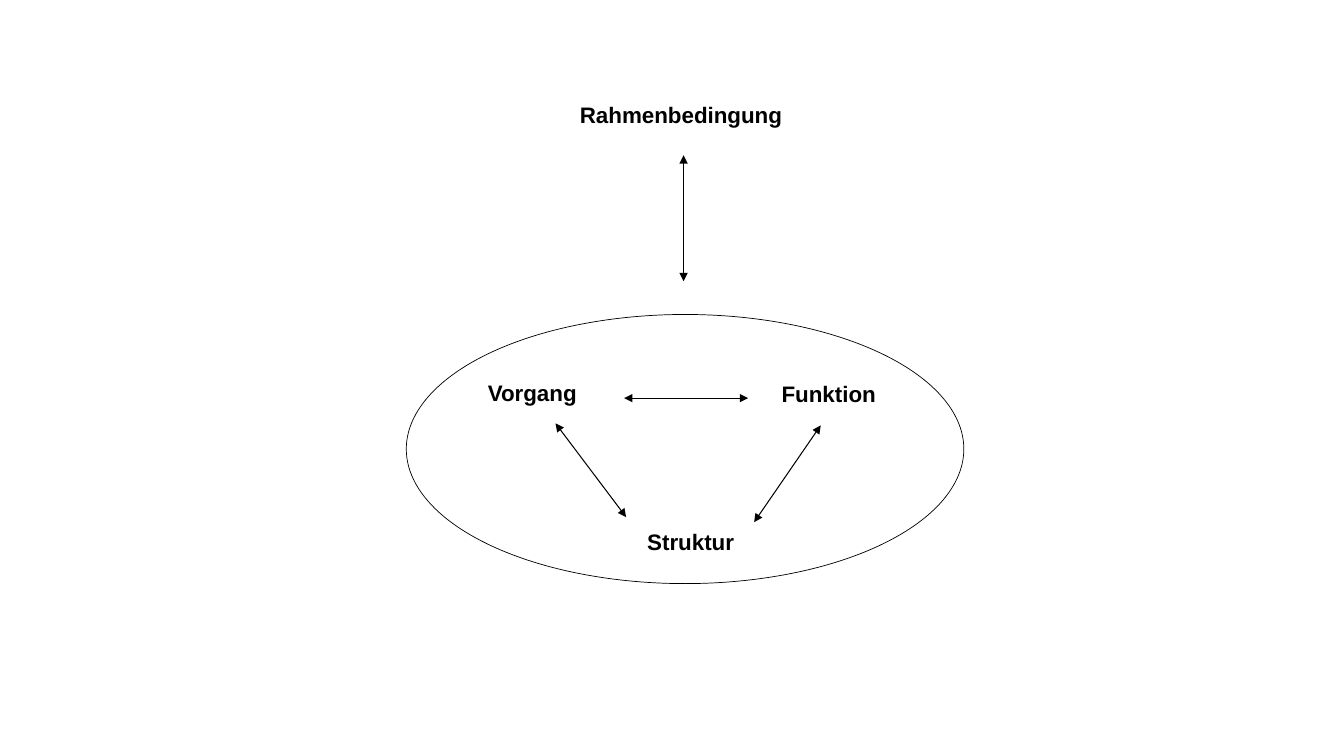
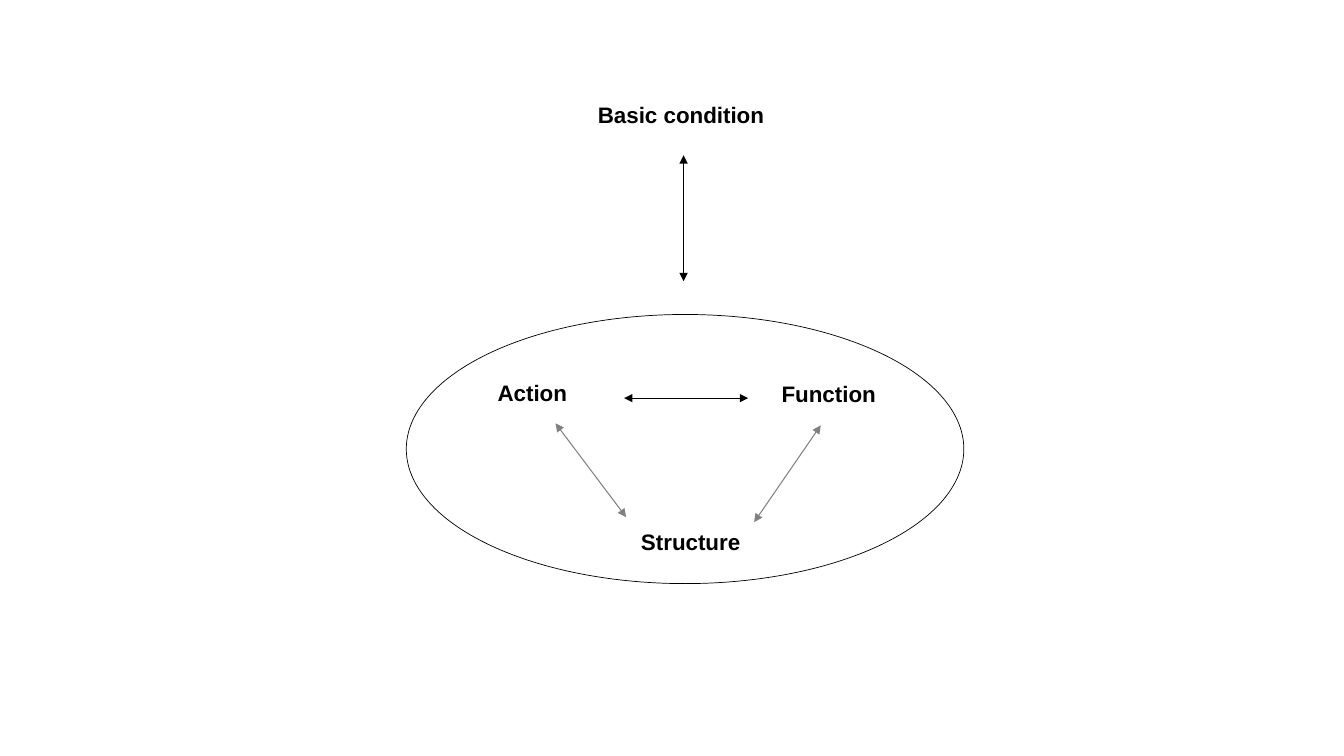
import pptx
import pptx.dml.color
import pptx.enum.shapes
import pptx.enum.text
import pptx.oxml
import pptx.oxml.ns
import pptx.util
from pptx.util import Inches

COLORS = {"ink": "000000", "muted": "808080"}
LABEL_FONT = {"name": "Arial", "size": pptx.util.Pt(16), "bold": True}
LABEL_FRAME = {
    "word_wrap": True,
    "vertical_anchor": pptx.enum.text.MSO_ANCHOR.MIDDLE,
    "margin_top": Inches(0.05),
    "margin_bottom": Inches(0.05),
}
LABEL_HEIGHT = 0.37

# Left, top and width of each label
LABEL_PLACES = {
    "condition": (5.42, 0.95, 2.67),
    "action": (4.58, 3.71, 1.4),
    "function": (7.51, 3.72, 1.42),
    "structure": (5.84, 5.19, 2.02),
}
SYSTEM_OVAL = (4.03, 3.12, 5.53, 2.67)

# Start and end points
MAIN_ARROWS = [
    ((6.19, 3.95), (7.42, 3.95)),
    ((6.78, 1.54), (6.78, 2.79)),
]
STRUCTURE_ARROWS = [
    ((6.21, 5.13), (5.51, 4.2)),
    ((7.48, 5.18), (8.14, 4.22)),
]

PAGES = [
    {
        "labels": {
            "condition": "Rahmenbedingung",
            "action": "Vorgang",
            "function": "Funktion",
            "structure": "Struktur",
        },
        "structure_color": "ink",
    },
    {
        "labels": {
            "condition": "Basic condition",
            "action": "Action",
            "function": "Function",
            "structure": "Structure",
        },
        "structure_color": "muted",
    },
]


def rgb(color):
    return pptx.dml.color.RGBColor.from_string(COLORS[color])


def set_all(target, values):
    for name, value in values.items():
        setattr(target, name, value)


def style_line(line, color, width):
    line.color.rgb = rgb(color)
    line.width = pptx.util.Pt(width)


def add_label(page, text, place):
    left, top, width = place
    box = page.shapes.add_textbox(
        Inches(left), Inches(top), Inches(width), Inches(LABEL_HEIGHT)
    )
    set_all(box.text_frame, LABEL_FRAME)
    para = box.text_frame.paragraphs[0]
    para.alignment = pptx.enum.text.PP_ALIGN.CENTER
    span = para.add_run()
    span.text = text
    set_all(span.font, LABEL_FONT)
    span.font.color.rgb = rgb("ink")


def add_oval(page, place):
    oval = page.shapes.add_shape(
        pptx.enum.shapes.MSO_SHAPE.OVAL, *map(Inches, place)
    )
    oval.shadow.inherit = False
    oval.fill.background()
    style_line(oval.line, "ink", 0.5)


def add_double_arrow(page, start, end, color):
    arrow = page.shapes.add_connector(
        pptx.enum.shapes.MSO_CONNECTOR.STRAIGHT, *map(Inches, start + end)
    )
    style_line(arrow.line, color, 0.75)
    properties = arrow._element.spPr
    outline = properties.find(pptx.oxml.ns.qn("a:ln"))
    for tag in ("a:headEnd", "a:tailEnd"):
        tip = pptx.oxml.xmlchemy.OxmlElement(tag)
        tip.set("type", "triangle")
        outline.append(tip)
    properties.append(pptx.oxml.xmlchemy.OxmlElement("a:effectLst"))


def add_diagram(deck, labels, structure_color):
    page = deck.slides.add_slide(deck.slide_layouts[6])
    add_oval(page, SYSTEM_OVAL)
    for role, text in labels.items():
        add_label(page, text, LABEL_PLACES[role])
    for start, end in MAIN_ARROWS:
        add_double_arrow(page, start, end, "ink")
    for start, end in STRUCTURE_ARROWS:
        add_double_arrow(page, start, end, structure_color)


def main():
    deck = pptx.Presentation()
    deck.slide_width = Inches(13.33)
    deck.slide_height = Inches(7.5)
    for content in PAGES:
        add_diagram(deck, **content)
    deck.save("out.pptx")


if __name__ == "__main__":
    main()
